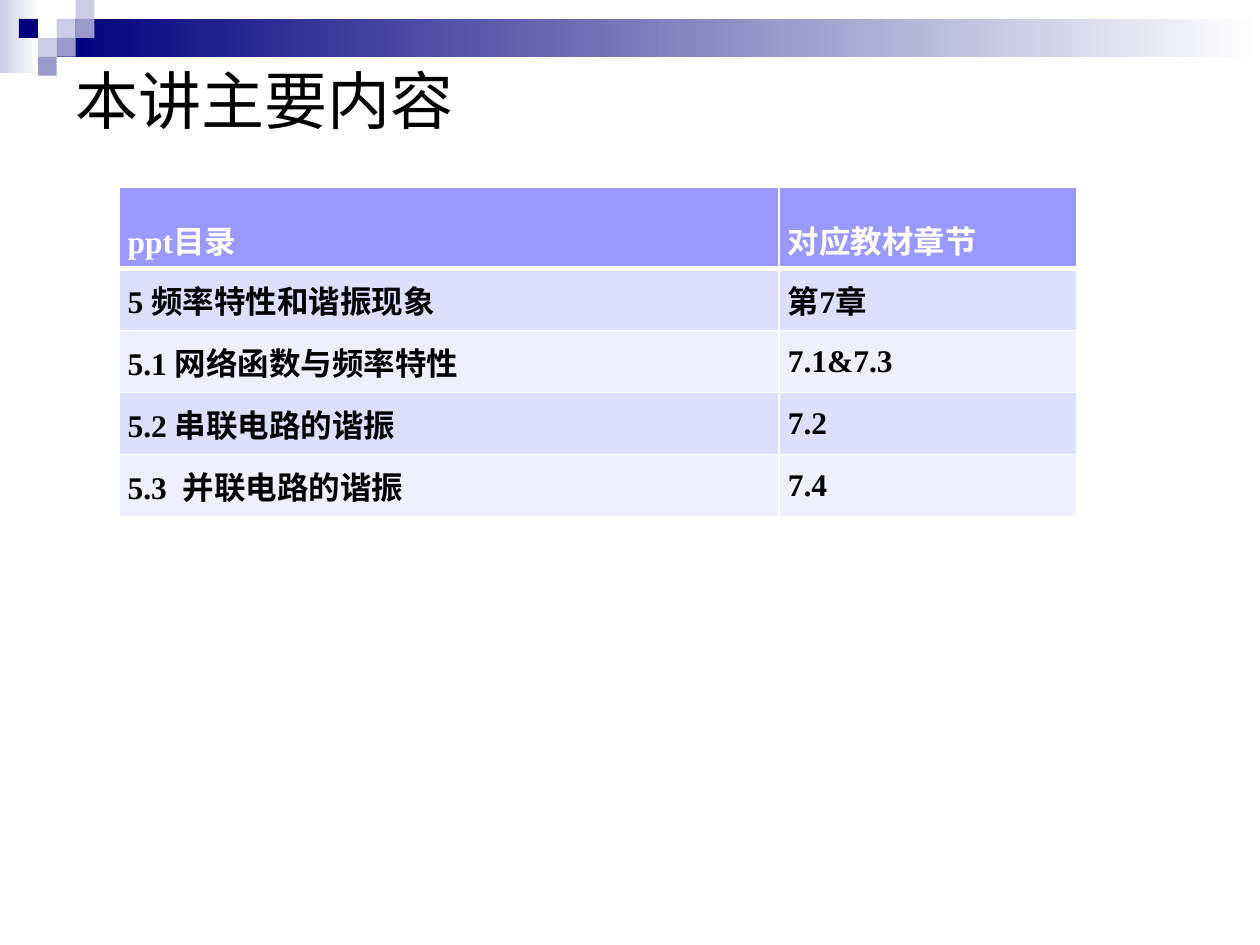
from lxml import etree
from pptx import Presentation
from pptx.dml.color import RGBColor
from pptx.enum import shapes, text
from pptx.oxml import ns
from pptx.util import Pt

CJK_FONT = "Noto Sans CJK SC"
LATIN_FONT = "Times New Roman"


def color(value):
    return RGBColor.from_string(value)


def format_text(box, size, latin, value, bold):
    for para in box.paragraphs:
        for span in para.runs:
            span.font.size = Pt(size)
            span.font.name = latin
            span.font.bold = bold
            span.font.color.rgb = color(value)
            east_asian = etree.SubElement(span.font._element, ns.qn("a:ea"))
            east_asian.set("typeface", CJK_FONT)


deck = Presentation()
deck.slide_width, deck.slide_height = Pt(720), Pt(540)
page = deck.slides.add_slide(deck.slide_layouts[5])

# Header decoration: two gradient bands, then squares on a regular grid
unit = 10.8
bands = [(0, 0, 22.3, 41.8, "CCCCE6"), (3 * unit, unit, 720 - 3 * unit, 2 * unit, "00007D")]
squares = [(3, 1, "CCCCE6"), (4, 0, "CCCCE6"), (4, 1, "9999CC"), (2, 2, "CCCCE6"),
           (1, 1, "00007D"), (3, 2, "9999CC"), (2, 3, "9999CC")]
tiles = [(column * unit, row * unit, unit, unit, fill) for column, row, fill in squares]
for index, (left, top, width, height, fill) in enumerate(bands + tiles):
    tile = page.shapes.add_shape(shapes.MSO_SHAPE.RECTANGLE,
                                 Pt(left), Pt(top), Pt(width), Pt(height))
    tile.shadow.inherit = False
    tile.line.fill.background()
    if index < len(bands):
        tile.fill.gradient()
        tile.fill.gradient_angle = 0
        for stop, position, value in zip(tile.fill.gradient_stops, (0, 1), (fill, "FFFFFF")):
            stop.position = position
            stop.color.rgb = color(value)
    else:
        tile.fill.solid()
        tile.fill.fore_color.rgb = color(fill)

# Title, brought in front of the decoration
title = page.shapes.title
title.left, title.top, title.width, title.height = Pt(36), Pt(36), Pt(648), Pt(42)
title.text_frame.text = "本讲主要内容"
title.text_frame.auto_size = text.MSO_AUTO_SIZE.NONE
title.text_frame.vertical_anchor = text.MSO_ANCHOR.MIDDLE
title.text_frame.paragraphs[0].alignment = text.PP_ALIGN.LEFT
format_text(title.text_frame, 36, CJK_FONT, "000000", False)
page.shapes._spTree.append(title._element)

# Table of contents
contents = [
    ("ppt目录", "对应教材章节"),
    ("5 频率特性和谐振现象", "第7章"),
    ("5.1 网络函数与频率特性", "7.1&7.3"),
    ("5.2 串联电路的谐振", "7.2"),
    ("5.3  并联电路的谐振", "7.4"),
]
row_heights = [46.8] + [35.4] * 4
column_widths = [377.3, 169.9]
table = page.shapes.add_table(len(contents), 2, Pt(67.9), Pt(106.8),
                              Pt(sum(column_widths)), Pt(sum(row_heights))).table
for column, width in zip(table.columns, column_widths):
    column.width = Pt(width)

for row_index, entries in enumerate(contents):
    table.rows[row_index].height = Pt(row_heights[row_index])
    header = row_index == 0
    band_fill = "9999FF" if header else ("EFEFFF", "DEDEFF")[row_index % 2]
    # A thick rule separates the header from the body
    edges = {"L": 1, "R": 1, "T": 3 if row_index == 1 else 1, "B": 3 if header else 1}
    for column_index, entry in enumerate(entries):
        cell = table.cell(row_index, column_index)
        cell.margin_left = cell.margin_right = Pt(5)
        cell.margin_top = cell.margin_bottom = Pt(0)
        cell.vertical_anchor = text.MSO_ANCHOR.MIDDLE
        for side, width in edges.items():
            border = etree.SubElement(cell._tc.get_or_add_tcPr(), ns.qn(f"a:ln{side}"))
            border.set("w", str(Pt(width)))
            paint = etree.SubElement(border, ns.qn("a:solidFill"))
            etree.SubElement(paint, ns.qn("a:srgbClr")).set("val", "FFFFFF")
        cell.fill.solid()
        cell.fill.fore_color.rgb = color(band_fill)
        cell.text_frame.text = entry
        para = cell.text_frame.paragraphs[0]
        para.alignment = text.PP_ALIGN.JUSTIFY
        if header:
            para.line_spacing = 1.5
        format_text(cell.text_frame, 18, LATIN_FONT, "FFFFFF" if header else "000000", True)

deck.save("out.pptx")
